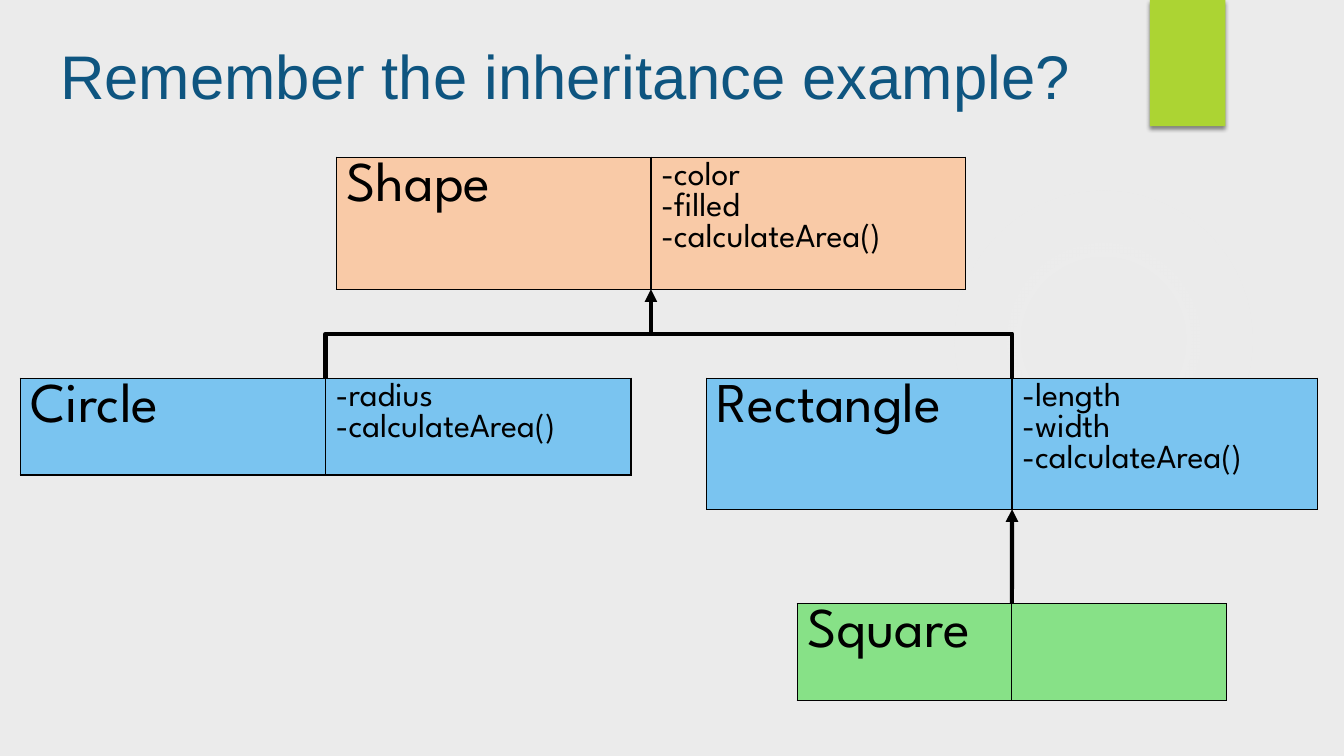
from lxml import etree
from pptx import Presentation
from pptx import util as u
from pptx.dml.color import RGBColor
from pptx.enum import shapes, text
from pptx.oxml import parse_xml
from pptx.oxml.ns import nsdecls, qn

COLORS = {
    "background": "EBEBEB", "glow": "F7F7F7", "tab": "ACD433", "title": "0E5580",
    "ink": "000000", "base": "F9CAA7", "child": "7AC4F0", "grandchild": "87E187",
}
CLASSES = [
    ("Shape", ["-color", "-filled", "-calculateArea()"], "base", (8.48, 3.96, 15.85, 3.33)),
    ("Circle", ["-radius", "-calculateArea()"], "child", (0.51, 9.53, 15.39, 2.44)),
    ("Rectangle", ["-length", "-width", "-calculateArea()"], "child", (17.81, 9.53, 15.39, 2.44)),
    ("Square", [], "grandchild", (20.09, 15.21, 10.82, 2.44)),
]


def rgb(name):
    """Return the named palette colour."""
    return RGBColor.from_string(COLORS[name])


def cm(*lengths):
    """Convert centimetre values to lengths."""
    return [u.Cm(v) for v in lengths]


def add_decoration(slide, glow_box, tab_box):
    """Draw the faint round glow and the green tab with its shadow."""
    glow = slide.shapes.add_shape(shapes.MSO_SHAPE.OVAL, *cm(*glow_box))
    glow.shadow.inherit = False
    glow.line.fill.background()
    stops = "".join(
        f'<a:gs pos="{pos * 1000}"><a:srgbClr val="{COLORS["glow"]}">'
        f'<a:alpha val="{alpha * 1000}"/></a:srgbClr></a:gs>'
        for pos, alpha in ((0, 7), (36, 6), (69, 0)))
    glow._element.spPr.find(qn("a:prstGeom")).addnext(parse_xml(
        f'<a:gradFill {nsdecls("a")}><a:gsLst>{stops}</a:gsLst><a:path path="circle">'
        '<a:fillToRect l="50000" t="50000" r="50000" b="50000"/></a:path></a:gradFill>'))

    tab = slide.shapes.add_shape(shapes.MSO_SHAPE.RECTANGLE, *cm(*tab_box))
    tab.shadow.inherit = False
    tab.fill.solid()
    tab.fill.fore_color.rgb = rgb("tab")
    tab.line.fill.background()
    tab._element.spPr.find(qn("a:effectLst")).append(parse_xml(
        f'<a:outerShdw {nsdecls("a")} blurRad="{u.Pt(3)}" dist="{u.Pt(2)}" dir="5400000">'
        f'<a:srgbClr val="{COLORS["ink"]}"><a:alpha val="45000"/></a:srgbClr></a:outerShdw>'))


def add_title(slide, box, words):
    """Write the slide title in the given box."""
    tf = slide.shapes.add_textbox(*cm(*box)).text_frame
    tf.word_wrap = True
    tf.vertical_anchor = text.MSO_ANCHOR.TOP
    tf.margin_left, tf.margin_top = cm(0.17, 0.3)
    p = tf.paragraphs[0]
    p.text = words
    p.font.name, p.font.size = "Arial", u.Pt(44)
    p.font.color.rgb = rgb("title")


def fill_cell(cell, lines, size, color):
    """Write the lines in a cell and give it a fill and thin borders."""
    cell.fill.solid()
    cell.fill.fore_color.rgb = rgb(color)
    for i, side in enumerate(("lnL", "lnR", "lnT", "lnB")):
        cell._tc.tcPr.insert(i, parse_xml(
            f'<a:{side} {nsdecls("a")} w="{u.Pt(1)}"><a:solidFill>'
            f'<a:srgbClr val="{COLORS["ink"]}"/></a:solidFill></a:{side}>'))
    if lines:
        cell.text = "\n".join(lines)
        for p in cell.text_frame.paragraphs:
            p.font.name, p.font.size = "League Spartan", u.Pt(size)
            p.font.color.rgb = rgb("ink")


def add_class(slide, name, members, color, box):
    """Draw a class as a table with its name and its members."""
    table = slide.shapes.add_table(1, 2, *cm(*box)).table
    table.first_row = table.horz_banding = False
    fill_cell(table.cell(0, 0), [name], 40, color)
    fill_cell(table.cell(0, 1), members, 24, color)


def style_line(line, arrow):
    """Make a connector thick and black, with an arrowhead if wanted."""
    line.line.width = u.Pt(3)
    line.line.color.rgb = rgb("ink")
    if arrow:
        etree.SubElement(line.line._get_or_add_ln(), qn("a:tailEnd"), type="triangle")
    etree.SubElement(line._element.spPr, qn("a:effectLst"))


def add_elbow(slide, start, end, preset, arrow=False):
    """Draw a bent connector that leaves its start vertically."""
    mid_x, mid_y = (start[0] + end[0]) / 2, (start[1] + end[1]) / 2
    turned = [(mid_x - (y - mid_y), mid_y + (x - mid_x)) for x, y in (start, end)]
    line = slide.shapes.add_connector(
        shapes.MSO_CONNECTOR.ELBOW, *cm(*turned[0], *turned[1]))
    spPr = line._element.spPr
    spPr.find(qn("a:xfrm")).set("rot", str(270 * 60000))
    spPr.find(qn("a:prstGeom")).set("prst", preset)
    style_line(line, arrow)


def add_inheritance(slide):
    """Join each class to the one it inherits from."""
    shape, circle, rectangle, square = (
        (x + w / 2, y, y + h) for _, _, _, (x, y, w, h) in CLASSES)
    bus = (circle[1] + shape[2]) / 2
    add_elbow(slide, circle[:2], (shape[0], shape[2]), "bentConnector3", True)
    add_elbow(slide, rectangle[:2], (15.44, bus), "bentConnector2")
    line = slide.shapes.add_connector(
        shapes.MSO_CONNECTOR.STRAIGHT, *cm(*square[:2], rectangle[0], 12.83))
    style_line(line, True)


def main():
    """Build the slide and save it."""
    prs = Presentation()
    prs.slide_width, prs.slide_height = cm(33.87, 19.05)
    s = prs.slides.add_slide(prs.slide_layouts[6])
    s.background.fill.solid()
    s.background.fill.fore_color.rgb = rgb("background")
    add_decoration(s, (23.9, 4.65, 7.82, 7.82), (28.98, 0, 1.9, 3.18))
    add_title(s, (1.35, 0.66, 26.52, 1.96), "Remember the inheritance example?")
    for item in CLASSES:
        add_class(s, *item)
    add_inheritance(s)
    prs.save("out.pptx")


if __name__ == "__main__":
    main()
